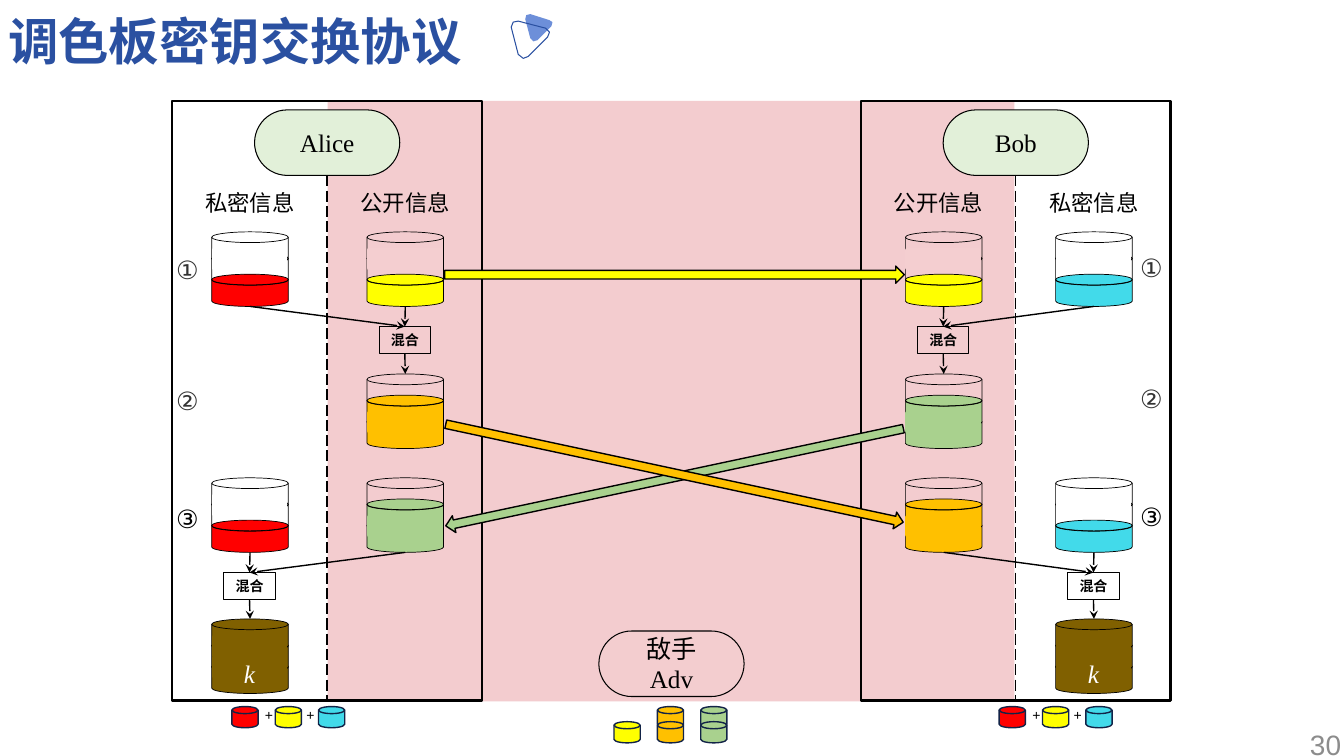
from lxml import etree
from pptx import Presentation
from pptx.dml.color import RGBColor
from pptx.enum.dml import MSO_LINE
from pptx.enum.shapes import MSO_CONNECTOR, MSO_SHAPE
from pptx.enum.text import MSO_ANCHOR, MSO_AUTO_SIZE, PP_ALIGN
from pptx.oxml.ns import qn
from pptx.util import Inches, Pt

RECT, PILL = MSO_SHAPE.RECTANGLE, MSO_SHAPE.ROUNDED_RECTANGLE
DISK, ARROW = MSO_SHAPE.FLOWCHART_MAGNETIC_DISK, MSO_SHAPE.RIGHT_ARROW
STRAIGHT, LONG_DASH = MSO_CONNECTOR.STRAIGHT, MSO_LINE.LONG_DASH
LEFT, CENTER, RIGHT = PP_ALIGN.LEFT, PP_ALIGN.CENTER, PP_ALIGN.RIGHT
TOP, MIDDLE = MSO_ANCHOR.TOP, MSO_ANCHOR.MIDDLE
SERIF, SANS = "Times New Roman", "Arial"
COLORS = {
    "black": "000000", "white": "FFFFFF", "ink": "333333", "gray": "8C8C8C",
    "navy": "122347", "title": "2A50A1", "accent": "6D8FD9",
    "channel": "F0C0C3", "pink": "F4CED0", "adversary": "F3CDCF", "name": "E2F0D9",
    "red": "FF0000", "cyan": "42DAEA", "yellow": "FFFF00",
    "orange": "FFC000", "green": "A9D18E", "brown": "806000",
}
SIDE_TOP, SIDE_BOTTOM = 0, 2
PANEL_TOP, PANEL_WIDTH, PANEL_HEIGHT = 1, 3.07, 5.95
BUCKET_WIDTH, DISK_HEIGHT, DISK_STEP = 0.76, 0.32, 0.21
BUCKET_HEIGHT = 2 * DISK_STEP + DISK_HEIGHT
FIRST_ROW, MIXED_ROW, RECEIVED_ROW, KEY_ROW = 2.3, 3.71, 4.74, 6.14
PILL_WIDTH, PILL_HEIGHT = 1.44, 0.65
MINI_WIDTH, MINI_HEIGHT, MINI_STEP = 0.26, 0.21, 0.43


def color(name):
    return RGBColor.from_string(COLORS[name])


def add_block(shapes, kind, box, fill=None, line=None, width=0.5):
    block = shapes.add_shape(kind, *map(Inches, box))
    block.shadow.inherit = False
    paint(block, fill, line, width)
    return block


def paint(block, fill, line, width):
    if fill:
        block.fill.solid()
        block.fill.fore_color.rgb = color(fill)
    else:
        block.fill.background()
    if line:
        block.line.color.rgb = color(line)
        block.line.width = Pt(width)
    else:
        block.line.fill.background()


def write(shape, lines, size, ink="black", font=SERIF, align=LEFT, anchor=TOP,
          wrap=True, bold=False, italic=False):
    frame = shape.text_frame
    frame.word_wrap = wrap
    frame.vertical_anchor = anchor
    for index, line in enumerate(lines):
        para = frame.add_paragraph() if index else frame.paragraphs[0]
        para.alignment = align
        span = para.add_run()
        span.text = line
        span.font.name, span.font.size = font, Pt(size)
        span.font.bold, span.font.italic = bold, italic
        span.font.color.rgb = color(ink)


def add_label(shapes, box, text, size, **style):
    write(shapes.add_textbox(*map(Inches, box)), [text], size, **style)


def add_line(shapes, start, end, source=None, target=None, dashed=False):
    """Joins source's bottom side and, for arrows, target's top side when given."""
    line = shapes.add_connector(STRAIGHT, *map(Inches, (*start, *end)))
    line.line.color.rgb = color("black")
    line.line.width = Pt(1)
    if source:
        line.begin_connect(source, SIDE_BOTTOM)
    if target:
        line.end_connect(target, SIDE_BOTTOM if dashed else SIDE_TOP)
    if dashed:
        line.line.dash_style = LONG_DASH
    else:
        etree.SubElement(line.line._get_or_add_ln(), qn("a:tailEnd"), type="stealth")
    etree.SubElement(line.element.spPr, qn("a:effectLst"))


def add_bucket(slide, center, top, paint_name, level, backdrop="white"):
    """Three stacked disks, the lowest `level` of them filled; strips hide the seams."""
    shapes = slide.shapes.add_group_shape().shapes
    left = center - BUCKET_WIDTH / 2
    for layer in range(3):
        box = (left, top + (2 - layer) * DISK_STEP, BUCKET_WIDTH, DISK_HEIGHT)
        add_block(shapes, DISK, box, paint_name if layer < level else None, "black")
    strip = paint_name if level > 1 else backdrop
    for seam in {1: [0], 2: [1], 3: [0, 1]}[level]:
        box = (left + 0.02, top + 0.18 + seam * DISK_STEP, BUCKET_WIDTH - 0.05, 0.18)
        add_block(shapes, RECT, box, strip, strip, 3)


def add_mix(slide, center, other_center, bucket_top, result_top):
    """Two buckets feed a mixing box, which feeds the bucket below."""
    bottom = bucket_top + BUCKET_HEIGHT
    top = bottom + 0.2
    mix = add_block(slide.shapes, RECT, (center - 0.26, top, 0.51, 0.27), None, "black", 0.75)
    write(mix, ["混合"], 10, bold=True, wrap=False, align=CENTER, anchor=MIDDLE)
    for start in (center, other_center):
        add_line(slide.shapes, (start, bottom), (center, top), target=mix)
    add_line(slide.shapes, (center, top + 0.27), (center, result_top), source=mix)


def add_pill(slide, center, top, fill, lines):
    box = (center - PILL_WIDTH / 2, top, PILL_WIDTH, PILL_HEIGHT)
    pill = add_block(slide.shapes, PILL, box, fill, "black", 0.75)
    pill.adjustments[0] = 0.5
    write(pill, lines, 18, align=CENTER, anchor=MIDDLE)
    return pill


def add_recipe(slide, left, top):
    shapes = slide.shapes.add_group_shape().shapes
    for index, name in enumerate(("red", "yellow", "cyan")):
        box = (left + index * MINI_STEP, top, MINI_WIDTH, MINI_HEIGHT)
        add_block(shapes, DISK, box, name, "navy", 1)
    for index in range(2):
        add_label(shapes, (left + 0.23 + index * 0.41, top - 0.05, 0.27, 0.27), "+", 10, font=SANS)


def add_party(slide, left, name, private, public, headings, secret, mixed, received,
              number_left, number_top, recipe_left):
    frame = add_block(slide.shapes, RECT, (left, PANEL_TOP, PANEL_WIDTH, PANEL_HEIGHT),
                      None, "black", 1.5)
    split = left + PANEL_WIDTH / 2
    for column, heading in enumerate(headings):
        box = (left + column * 1.54, PANEL_TOP + 0.83, 1.54, 0.37)
        add_label(slide.shapes, box, heading, 16, align=CENTER)
    add_bucket(slide, private, FIRST_ROW, secret, 1)
    add_bucket(slide, public, FIRST_ROW, "yellow", 1, "pink")
    add_bucket(slide, public, MIXED_ROW, mixed, 2)
    add_bucket(slide, private, RECEIVED_ROW, secret, 1)
    add_bucket(slide, public, RECEIVED_ROW, received, 2)
    add_bucket(slide, private, KEY_ROW, "brown", 3)
    add_mix(slide, public, private, FIRST_ROW, MIXED_ROW)
    add_mix(slide, private, public, RECEIVED_ROW, KEY_ROW)
    add_label(slide.shapes, (private - 0.16, KEY_ROW + 0.34, 0.31, 0.4), "k", 18,
              ink="white", italic=True, wrap=False)
    for number, drop, ink in (("①", 0, "ink"), ("②", 1.3, "ink"), ("③", 2.47, "black")):
        add_label(slide.shapes, (number_left, number_top + drop, 0.46, 0.4), number, 18,
                  font=SANS, ink=ink)
    pill = add_pill(slide, split, PANEL_TOP + 0.09, "name", [name])
    add_line(slide.shapes, (split, PANEL_TOP + 0.74), (split, PANEL_TOP + PANEL_HEIGHT),
             source=pill, target=frame, dashed=True)
    add_recipe(slide, recipe_left, 7.01)


def add_channel(slide):
    channel = add_block(slide.shapes, RECT, (3.25, PANEL_TOP, 6.81, 5.96), "channel")
    fill_color = channel.element.spPr.find(".//" + qn("a:srgbClr"))
    etree.SubElement(fill_color, qn("a:alpha"), val="80000")


def add_exchanges(slide):
    for box, angle, name in (((4.41, 2.64, 4.56, 0.17), 0, "yellow"),
                             ((4.37, 4.65, 4.64, 0.17), 168, "green"),
                             ((4.37, 4.61, 4.64, 0.17), 12.1, "orange")):
        add_block(slide.shapes, ARROW, box, name, "black", 1).rotation = angle


def add_adversary(slide, center):
    add_pill(slide, center, 6.26, "adversary", ["敌手", "Adv"])
    shapes = slide.shapes.add_group_shape().shapes
    for column, row, name in ((1, 0, "orange"), (2, 0, "green"),
                              (0, 1, "yellow"), (1, 1, "orange"), (2, 1, "green")):
        box = (6.09 + column * MINI_STEP, 7.01 + row * 0.15, MINI_WIDTH, MINI_HEIGHT)
        add_block(shapes, DISK, box, name, "navy", 1)


def add_triangle(slide, points, fill, line):
    corners = [(Inches(x), Inches(y)) for x, y in points]
    builder = slide.shapes.build_freeform(*corners[0])
    builder.add_line_segments(corners[1:], close=True)
    triangle = builder.convert_to_shape()
    triangle.shadow.inherit = False
    paint(triangle, fill, line, 0.75)


def add_header(slide):
    title = slide.shapes.title
    title.left, title.top, title.width, title.height = map(Inches, (0.08, 0.1, 4.9, 0.5))
    frame = title.text_frame
    frame.auto_size = MSO_AUTO_SIZE.NONE
    frame.margin_left = frame.margin_right = frame.margin_top = frame.margin_bottom = 0
    write(title, ["调色板密钥交换协议"], 36, ink="title", font=SANS, bold=True, wrap=False)
    add_triangle(slide, [(5.47, 0.26), (5.33, 0.4), (5.29, 0.41), (5.26, 0.38), (5.21, 0.19),
                         (5.22, 0.15), (5.26, 0.14), (5.45, 0.2), (5.48, 0.22)], "accent", None)
    add_triangle(slide, [(5.43, 0.37), (5.24, 0.56), (5.19, 0.58), (5.14, 0.54), (5.07, 0.27),
                         (5.09, 0.22), (5.14, 0.21), (5.41, 0.28), (5.45, 0.32)], None, "title")


def main():
    deck = Presentation()
    deck.slide_width, deck.slide_height = Inches(13.33), Inches(7.5)
    slide = deck.slides.add_slide(deck.slide_layouts[5])
    add_header(slide)
    add_channel(slide)
    add_party(slide, 1.71, "Alice", 2.48, 4.02, ("私密信息", "公开信息"), "red",
              "orange", "green", 1.65, 2.47, 2.3)
    add_party(slide, 8.54, "Bob", 10.85, 9.36, ("公开信息", "私密信息"), "cyan",
              "green", "orange", 11.21, 2.45, 9.91)
    add_exchanges(slide)
    add_adversary(slide, 6.66)
    add_label(slide.shapes, (10.4, 7.18, 3, 0.4), "30", 20, ink="gray", font=SANS,
              align=RIGHT, anchor=MIDDLE)
    deck.save("out.pptx")


if __name__ == "__main__":
    main()
